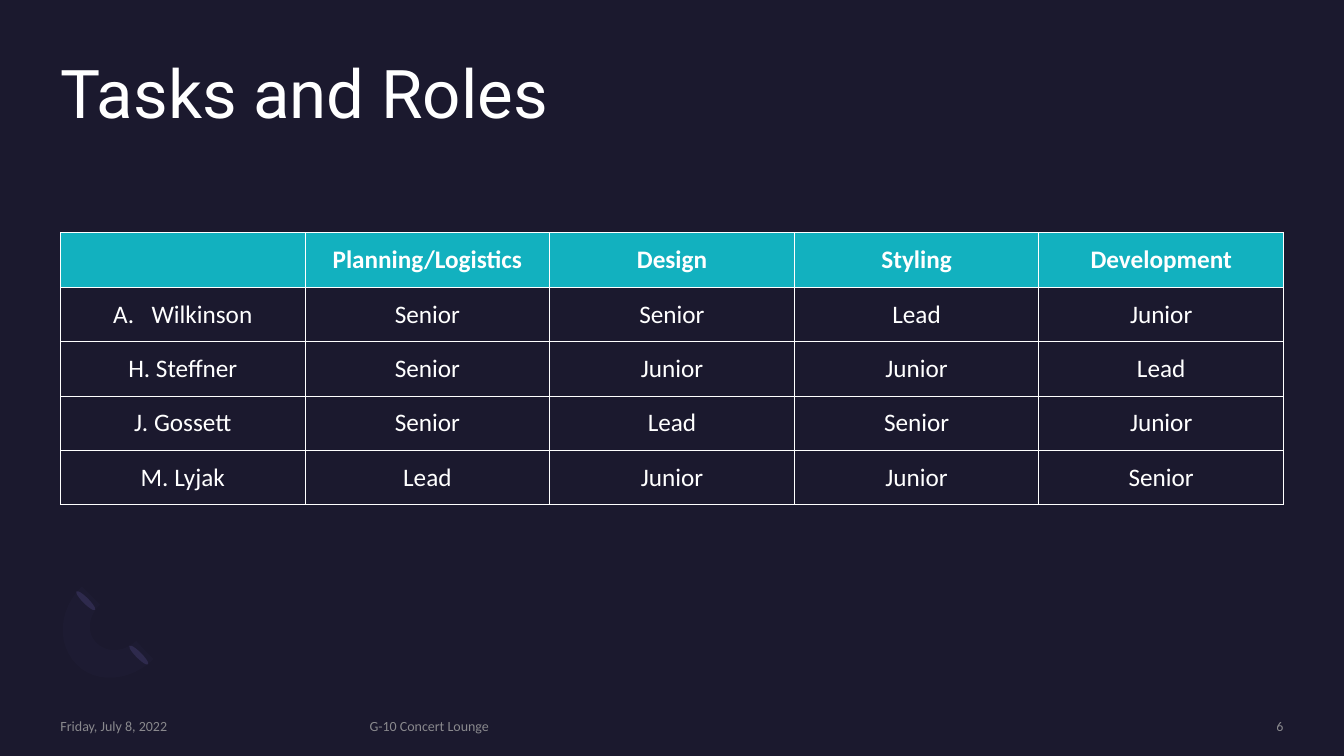
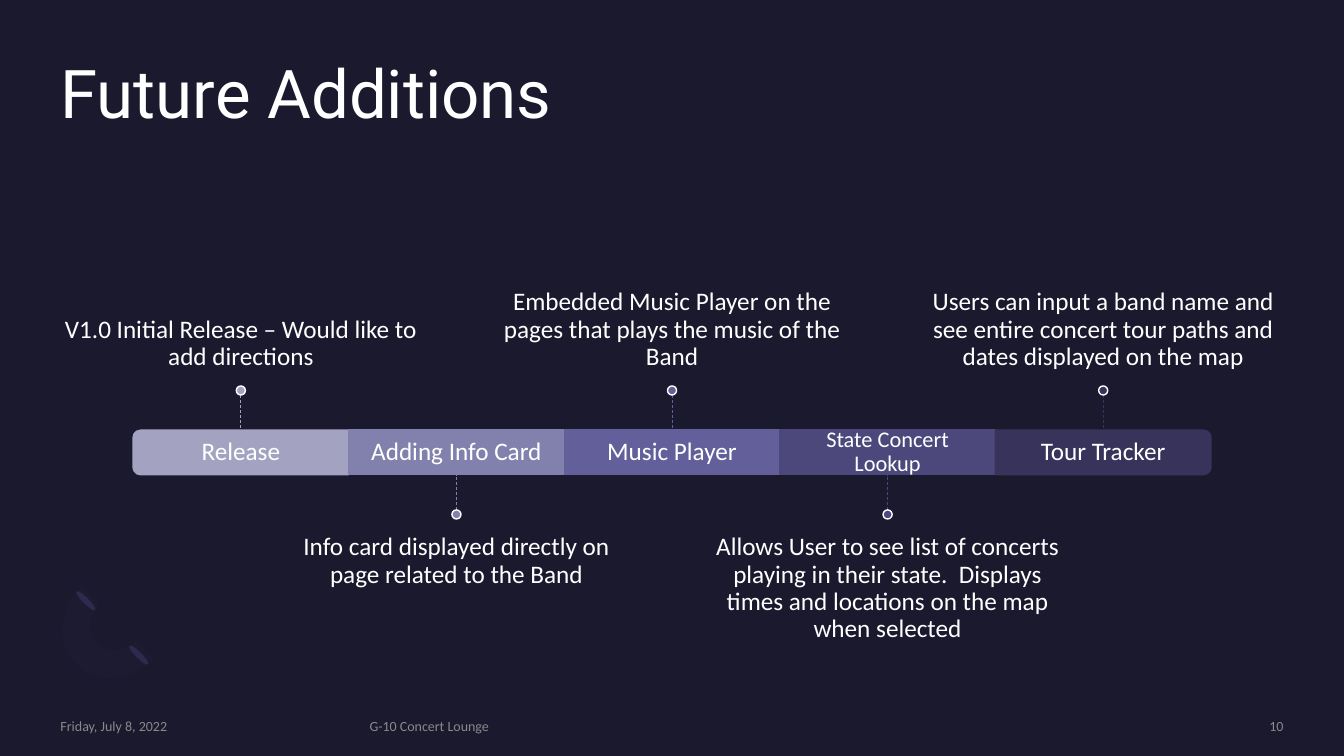
from lxml.etree import SubElement
from pptx import Presentation
from pptx.dml.color import RGBColor
from pptx.enum.dml import MSO_LINE
from pptx.enum.shapes import MSO_CONNECTOR, MSO_SHAPE
from pptx.enum.text import MSO_ANCHOR, PP_ALIGN
from pptx.oxml.ns import qn
from pptx.util import Inches, Pt

COLORS = {name: RGBColor.from_string(value) for name, value in {
    "background": "1B192E", "text": "FFFFFF", "footer": "A6A6A6",
    "header": "12B1BF", "ring": "7771B2", "ring_end": "2C284A",
    "Release": "A3A3C1", "Adding Info Card": "8281AE", "Music Player": "625F9A",
    "State Concert Lookup": "4C487B", "Tour Tracker": "37335B",
}.items()}
BODY_FONT, TITLE_FONT = "Calibri", "Roboto"

deck = Presentation()
deck.slide_width, deck.slide_height = Inches(13.33), Inches(7.5)
COLUMN, ROW = deck.slide_width / 100, deck.slide_height / 100
MARGIN, CONTENT_WIDTH, CONTENT_TOP = 4.5, 91, 30.8


def place(left, top, width, height):
    """Turn grid columns and rows into slide lengths."""
    return (round(left * COLUMN), round(top * ROW),
            round(width * COLUMN), round(height * ROW))


def write(shape, text, size, align=PP_ALIGN.LEFT, anchor=MSO_ANCHOR.TOP,
          font=BODY_FONT, color="text", spacing=0.9, insets=(0, 0, 0, 0)):
    """Put one styled paragraph in a shape; insets are left, top, right, bottom inches."""
    frame = shape.text_frame
    frame.text = text
    frame.word_wrap = True
    frame.vertical_anchor = anchor
    (frame.margin_left, frame.margin_top,
     frame.margin_right, frame.margin_bottom) = map(Inches, insets)
    para = frame.paragraphs[0]
    para.alignment = align
    para.line_spacing = spacing
    span = para.runs[0]
    span.font.name, span.font.size = font, Pt(size)
    span.font.color.rgb = COLORS[color]


# Shared background, decoration, title and footer
background = deck.slide_master.background.fill
background.solid()
background.fore_color.rgb = COLORS["background"]

RING_ENDS = [(10.1, 84.9), (6.15, 77.7)]
RING_CURVES = [
    [(5.7, 87.87), (4.2, 85.2), (4.35, 80.67), (6.08, 77.6)],
    [(7.43, 80), (6.53, 81.47), (6.45, 83.87), (7.2, 85.07)],
    [(7.2, 85.07), (7.95, 86.4), (9.23, 86.27), (10.13, 84.8)],
    [(11.4, 87.2), (9.75, 90.13), (7.13, 90.53), (5.7, 87.87)],
]
CURVE_STEPS = 12
ring_points = []
for start, pull_out, pull_in, end in RING_CURVES:
    for step in range(CURVE_STEPS + 1):
        t = step / CURVE_STEPS
        x, y = ((1 - t) ** 3 * a + 3 * (1 - t) ** 2 * t * b + 3 * (1 - t) * t ** 2 * c + t ** 3 * d
                for a, b, c, d in zip(start, pull_out, pull_in, end))
        ring_points.append((round(x * COLUMN), round(y * ROW)))

pages = []
for title, number in [("Tasks and Roles", "6"), ("Future Additions", "10")]:
    page = deck.slides.add_slide(deck.slide_layouts[6])
    pages.append(page)

    for left, top in RING_ENDS:
        ring_end = page.shapes.add_shape(MSO_SHAPE.OVAL, *place(left, top, 0.45, 3.5))
        ring_end.rotation = 135
        ring_end.shadow.inherit = False
        ring_end.fill.solid()
        ring_end.fill.fore_color.rgb = COLORS["ring_end"]
        ring_end.line.fill.background()

    builder = page.shapes.build_freeform(*ring_points[0], scale=1.0)
    builder.add_line_segments(ring_points[1:], close=True)
    ring = builder.convert_to_shape()
    ring.shadow.inherit = False
    ring.fill.solid()
    ring.fill.fore_color.rgb = COLORS["ring"]
    ring.line.fill.background()
    see_through = [(ring, 3)]

    title_box = page.shapes.add_textbox(*place(MARGIN, 8, CONTENT_WIDTH, 19.5))
    write(title_box, title, 48, font=TITLE_FONT)

    for text, left, width, align in [
        ("Friday, July 8, 2022", MARGIN, 21.6, PP_ALIGN.LEFT),
        ("G-10 Concert Lounge", 27.5, 52.4, PP_ALIGN.LEFT),
        (number, 81.6, 13.9, PP_ALIGN.RIGHT),
    ]:
        footer = page.shapes.add_textbox(*place(left, 94.9, width, 2.3))
        write(footer, text, 10, align, MSO_ANCHOR.MIDDLE, color="footer", spacing=1.0)
        see_through.append((footer, 80))

    for shape, percent in see_through:
        for color in shape._element.iter(qn("a:srgbClr")):
            SubElement(color, qn("a:alpha"), val=str(percent * 1000))

roles_page, additions_page = pages

# Table of roles
ROLES = [
    ["", "Planning/Logistics", "Design", "Styling", "Development"],
    ["Wilkinson", "Senior", "Senior", "Lead", "Junior"],
    ["H. Steffner", "Senior", "Junior", "Junior", "Lead"],
    ["J. Gossett", "Senior", "Lead", "Senior", "Junior"],
    ["M. Lyjak", "Lead", "Junior", "Junior", "Senior"],
]
table = roles_page.shapes.add_table(
    len(ROLES), len(ROLES[0]),
    *place(MARGIN, CONTENT_TOP, CONTENT_WIDTH, 7.2 * len(ROLES))).table
table.first_row = table.horz_banding = False
for row_index, values in enumerate(ROLES):
    for column_index, value in enumerate(values):
        cell = table.cell(row_index, column_index)
        cell.text_frame.text = value
        cell.vertical_anchor = MSO_ANCHOR.MIDDLE
        para = cell.text_frame.paragraphs[0]
        para.alignment = PP_ALIGN.CENTER
        for span in para.runs:
            span.font.name, span.font.size = BODY_FONT, Pt(18)
            span.font.bold = row_index == 0
            span.font.color.rgb = COLORS["text"]
        properties = cell._tc.get_or_add_tcPr()
        for side in ("lnL", "lnR", "lnT", "lnB"):
            border = SubElement(properties, qn(f"a:{side}"), w=str(Pt(0.75)))
            paint = SubElement(border, qn("a:solidFill"))
            SubElement(paint, qn("a:srgbClr"), val=str(COLORS["text"]))
        if row_index == 0:
            cell.fill.solid()
            cell.fill.fore_color.rgb = COLORS["header"]
        else:
            cell.fill.background()

lettered = table.cell(1, 0).text_frame.paragraphs[0]._p.get_or_add_pPr()
lettered.set("marL", str(Inches(0.38)))
lettered.set("indent", str(Inches(-0.38)))
SubElement(lettered, qn("a:buFont"), typeface="+mj-lt")
SubElement(lettered, qn("a:buAutoNum"), type="alphaUcPeriod")

# Timeline: captions alternate above and below the bar, mirrored about its axis
STAGES = [
    ("Release", "V1.0 Initial Release – Would like to add directions"),
    ("Adding Info Card", "Info card displayed directly on page related to the Band"),
    ("Music Player", "Embedded Music Player on the pages that plays the music of the Band"),
    ("State Concert Lookup", "Allows User to see list of concerts playing in their state.  "
                             "Displays times and locations on the map when selected"),
    ("Tour Tracker", "Users can input a band name and see entire concert tour paths "
                     "and dates displayed on the map"),
]
AXIS, BAR_HEIGHT, BAR_WIDTH = 59.85, 5.9, 16.04
CAPTION_WIDTH, CAPTION_HEIGHT, CAPTION_GAP = 26.75, 20.3, 8.8
DOT_HEIGHT = 1.2
DOT_WIDTH = DOT_HEIGHT * ROW / COLUMN
END_ROTATIONS = {0: 270, len(STAGES) - 1: 90}

for index, (stage, caption) in enumerate(STAGES):
    above = index % 2 == 0
    center = 50 + (index - (len(STAGES) - 1) / 2) * BAR_WIDTH
    bar_area = place(center - BAR_WIDTH / 2, AXIS - BAR_HEIGHT / 2, BAR_WIDTH, BAR_HEIGHT)

    if index in END_ROTATIONS:
        left, top, width, height = bar_area
        shift = (width - height) // 2
        bar = additions_page.shapes.add_shape(
            MSO_SHAPE.ROUND_2_SAME_RECTANGLE, left + shift, top - shift, height, width)
        bar.rotation = END_ROTATIONS[index]
        label = additions_page.shapes.add_textbox(*bar_area)
    else:
        bar = label = additions_page.shapes.add_shape(MSO_SHAPE.RECTANGLE, *bar_area)
    write(label, stage, 16 if stage == "State Concert Lookup" else 18,
          PP_ALIGN.CENTER, MSO_ANCHOR.MIDDLE, insets=(0.15,) * 4)

    caption_top = AXIS - CAPTION_GAP - CAPTION_HEIGHT if above else AXIS + CAPTION_GAP
    caption_box = additions_page.shapes.add_textbox(
        *place(center - CAPTION_WIDTH / 2, caption_top, CAPTION_WIDTH, CAPTION_HEIGHT))
    write(caption_box, caption, 18, PP_ALIGN.CENTER,
          MSO_ANCHOR.BOTTOM if above else MSO_ANCHOR.TOP,
          insets=(0, 0, 0, 0.15) if above else (0, 0.15, 0, 0))

    direction = -1 if above else 1
    x, dot_edge = place(center, AXIS + direction * (CAPTION_GAP - DOT_HEIGHT), 0, 0)[:2]
    bar_edge = round((AXIS + direction * BAR_HEIGHT / 2) * ROW)
    stem = additions_page.shapes.add_connector(MSO_CONNECTOR.STRAIGHT, x, dot_edge, x, bar_edge)
    if index not in END_ROTATIONS:
        stem.end_connect(bar, 0 if above else 2)
    stem.line.color.rgb = COLORS[stage]
    stem.line.width = Pt(0.5)
    stem.line.dash_style = MSO_LINE.DASH
    SubElement(stem._element.spPr, qn("a:effectLst"))

    dot_top = AXIS - CAPTION_GAP if above else AXIS + CAPTION_GAP - DOT_HEIGHT
    dot = additions_page.shapes.add_shape(
        MSO_SHAPE.OVAL, *place(center - DOT_WIDTH / 2, dot_top, DOT_WIDTH, DOT_HEIGHT))
    for shape, outline in [(bar, stage), (dot, "text")]:
        shape.shadow.inherit = False
        shape.fill.solid()
        shape.fill.fore_color.rgb = COLORS[stage]
        shape.line.color.rgb = COLORS[outline]
        shape.line.width = Pt(1)

deck.save("out.pptx")
